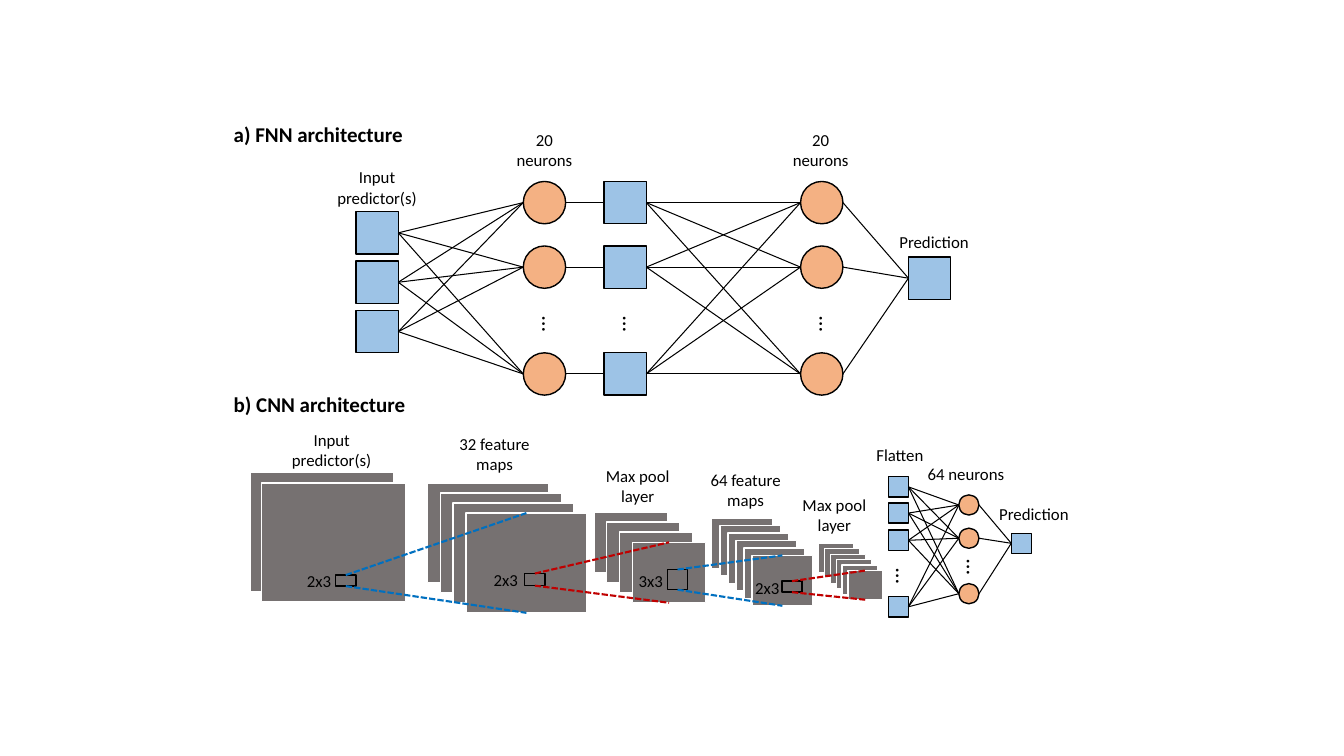
from dataclasses import dataclass
from itertools import product

from lxml.etree import SubElement
from pptx import Presentation
from pptx.dml.color import RGBColor
from pptx.enum.dml import MSO_LINE
from pptx.enum.shapes import MSO_CONNECTOR, MSO_SHAPE
from pptx.enum.text import PP_ALIGN
from pptx.oxml.ns import qn
from pptx.util import Inches, Pt


@dataclass(frozen=True)
class Theme:
    font: str = "Calibri"
    title_size: float = 15
    label_size: float = 12
    dots_size: float = 16
    outline: float = 1
    link_width: float = 0.75
    cone_width: float = 1.5
    ink: RGBColor = RGBColor(0x00, 0x00, 0x00)
    paper: RGBColor = RGBColor(0xFF, 0xFF, 0xFF)
    unit: RGBColor = RGBColor(0x9D, 0xC3, 0xE6)
    neuron: RGBColor = RGBColor(0xF4, 0xB1, 0x83)
    feature_map: RGBColor = RGBColor(0x76, 0x71, 0x71)
    convolution: RGBColor = RGBColor(0x00, 0x70, 0xC0)
    pooling: RGBColor = RGBColor(0xC0, 0x00, 0x00)


THEME = Theme()
CELL = Inches(0.1)  # the slide is a grid of 133.3 columns by 75 rows


@dataclass(frozen=True)
class Box:
    """A region whose parts are placed in grid cells from its top left corner."""
    shapes: object
    column: float
    row: float

    def frame(self, left, top, width, height):
        return [round(cells * CELL) for cells in
                (self.column + left, self.row + top, width, height)]


# Basic parts
def add_node(box, kind, area, fill=None, line=THEME.ink):
    node = box.shapes.add_shape(kind, *box.frame(*area))
    node.shadow.inherit = False
    if fill is None:
        node.fill.background()
    else:
        node.fill.solid()
        node.fill.fore_color.rgb = fill
    node.line.color.rgb = line
    node.line.width = Pt(THEME.outline)
    return node


def add_text(box, text, area, size=THEME.label_size, align=PP_ALIGN.CENTER, bold=False):
    label = box.shapes.add_textbox(*box.frame(*area))
    label.text_frame.word_wrap = True
    label.text_frame.text = text
    for paragraph in label.text_frame.paragraphs:
        paragraph.alignment = align
        paragraph.font.name = THEME.font
        paragraph.font.size = Pt(size)
        paragraph.font.bold = bold
        paragraph.font.color.rgb = THEME.ink
    return label


def add_title(box, text):
    add_text(box, text, (0, 0, 31.3, 3.5), THEME.title_size, PP_ALIGN.LEFT, True)


def add_dots(box, middle, top):
    dots = add_text(box, "…", (middle - 1.55, top, 4.4, 3.7), THEME.dots_size)
    dots.rotation = 90


def add_line(box, start, end, color, width):
    line = box.shapes.add_connector(MSO_CONNECTOR.STRAIGHT, *start, *end)
    line.line.color.rgb = color
    line.line.width = Pt(width)
    SubElement(line._element.spPr, qn("a:effectLst"))
    return line


# Network parts
def add_column(box, kind, left, tops, size):
    fill = THEME.neuron if kind == MSO_SHAPE.OVAL else THEME.unit
    return [add_node(box, kind, (left, top, size, size), fill) for top in tops]


def link(box, source, target):
    line = add_line(box, (source.left + source.width, source.top + source.height // 2),
                    (target.left, target.top + target.height // 2),
                    THEME.ink, THEME.link_width)
    if source.auto_shape_type == MSO_SHAPE.RECTANGLE:
        line.begin_connect(source, 3)
    if target.auto_shape_type == MSO_SHAPE.RECTANGLE:
        line.end_connect(target, 1)


def link_all(box, sources, targets):
    for source, target in product(sources, targets):
        link(box, source, target)


def add_stack(box, left, top, width, height, count, step_x, step_y):
    """Draw overlapping maps and return the front one."""
    return [add_node(box, MSO_SHAPE.RECTANGLE,
                     (left + i * step_x, top + i * step_y, width, height),
                     THEME.feature_map, THEME.paper) for i in range(count)][-1]


def add_cone(box, kernel, feature_map, color):
    for side in (0, 2):
        edge = add_line(box, (kernel.left, kernel.top),
                        (feature_map.left, feature_map.top), color, THEME.cone_width)
        edge.begin_connect(kernel, side)
        edge.end_connect(feature_map, side)
        edge.line.dash_style = MSO_LINE.SQUARE_DOT


# Regions
def draw_fnn(box):
    size, rows, dots_row = 4.2, (6.4, 12.8, 23.4), 18.7
    first_left, hidden_left, second_left = 29.7, 37.7, 57.2

    inputs = add_column(box, MSO_SHAPE.RECTANGLE, 13.1, [9.4 + 4.9 * i for i in range(3)], size)
    first = add_column(box, MSO_SHAPE.OVAL, first_left, rows, size)
    hidden = add_column(box, MSO_SHAPE.RECTANGLE, hidden_left, rows, size)
    second = add_column(box, MSO_SHAPE.OVAL, second_left, rows, size)
    output = add_column(box, MSO_SHAPE.RECTANGLE, 67.9, [13.9], size)

    link_all(box, inputs, first)
    for neuron, unit in zip(first, hidden):
        link(box, neuron, unit)
    link_all(box, hidden, second)
    link_all(box, second, output)

    for left in (first_left, hidden_left, second_left):
        add_dots(box, left + size / 2, dots_row)
    add_text(box, "Input\npredictor(s)", (9.7, 4.5, 11, 5))
    for left in (27.8, 55.2):
        add_text(box, "20 neurons", (left, 0.8, 8, 5))
    add_text(box, "Prediction", (65.4, 10.9, 10.1, 3))
    add_title(box, "a) FNN architecture")


def draw_cnn(box):
    # Feature maps: left, top, width, height, count, step across, step down
    front_maps = [add_stack(box, *stack) for stack in (
        (2.6, 8.6, 14.3, 11.8, 2, 1.15, 1),
        (20.2, 9.6, 12, 9.9, 4, 1.27, 1),
        (36.7, 12.5, 7.3, 6, 4, 1.27, 1),
        (48.4, 13.1, 6, 5, 6, 0.8, 0.74),
        (59, 15.6, 3.5, 2.9, 6, 0.58, 0.54))]

    # Kernels, each with a cone to the next stack
    kernels = (
        ("2x3", (11.1, 18.75, 2, 1.1), (6.4, 17.8, 6.1, 3), THEME.convolution),
        ("2x3", (29.85, 18.6, 2, 1.2), (25, 17.7, 5.9, 3), THEME.pooling),
        ("3x3", (44, 18.2, 2, 2), (37.3, 17.8, 10.1, 3), THEME.convolution),
        ("2x3", (55.35, 19.35, 2, 1.1), (49.8, 18.5, 8.2, 3), THEME.pooling))
    for (name, area, name_area, color), target in zip(kernels, front_maps[1:]):
        kernel = add_node(box, MSO_SHAPE.RECTANGLE, area)
        add_cone(box, kernel, target, color)
        add_text(box, name, name_area)

    # Dense layers
    size, flat_left, neuron_left = 2, 65.9, 72.9
    flat = add_column(box, MSO_SHAPE.RECTANGLE, flat_left, (9, 11.6, 14.3, 20.9), size)
    neurons = add_column(box, MSO_SHAPE.OVAL, neuron_left, (10.8, 14.1, 19.6), size)
    output = add_column(box, MSO_SHAPE.RECTANGLE, 78.1, [14.6], size)
    link_all(box, flat, neurons)
    link_all(box, neurons, output)
    add_dots(box, flat_left + size / 2, 17)
    add_dots(box, neuron_left + size / 2, 16.1)

    # Labels
    for text, area in (
            ("Input predictor(s)", (4.7, 3.8, 12, 5)),
            ("32 feature maps", (21.8, 4.2, 10.1, 5)),
            ("Max pool layer", (36, 7.4, 10.1, 5)),
            ("64 feature maps", (46.7, 7.8, 10.1, 5)),
            ("Max pool layer", (55.5, 10.3, 10.1, 5)),
            ("Flatten", (62, 5.3, 10.1, 3)),
            ("64 neurons", (66.5, 7.2, 14.2, 3)),
            ("Prediction", (75.3, 11.2, 10.1, 3))):
        add_text(box, text, area)
    add_title(box, "b) CNN architecture")


def main():
    deck = Presentation()
    deck.slide_width, deck.slide_height = Inches(13.33), Inches(7.5)
    slide = deck.slides.add_slide(deck.slide_layouts[6])
    draw_fnn(Box(slide.shapes, 22.2, 11.6))
    draw_cnn(Box(slide.shapes, 22.2, 38.3))
    deck.save("out.pptx")


if __name__ == "__main__":
    main()
